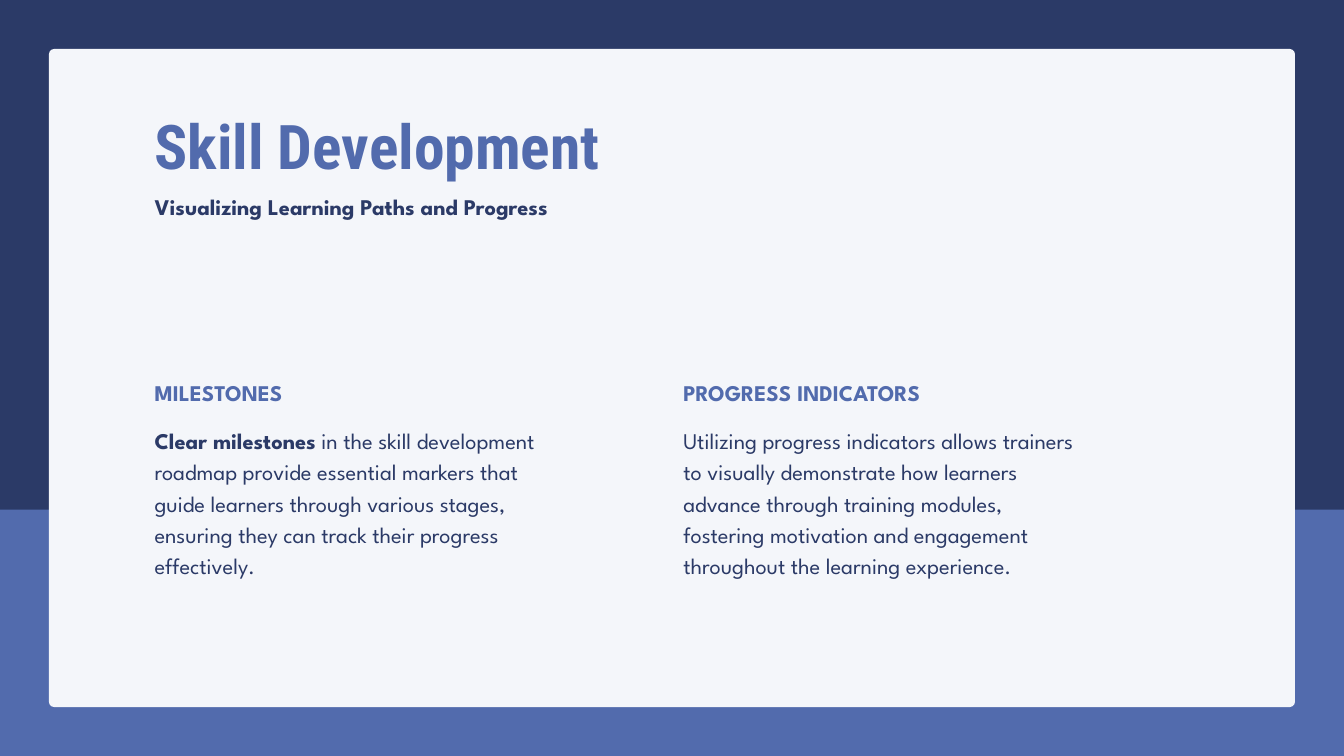
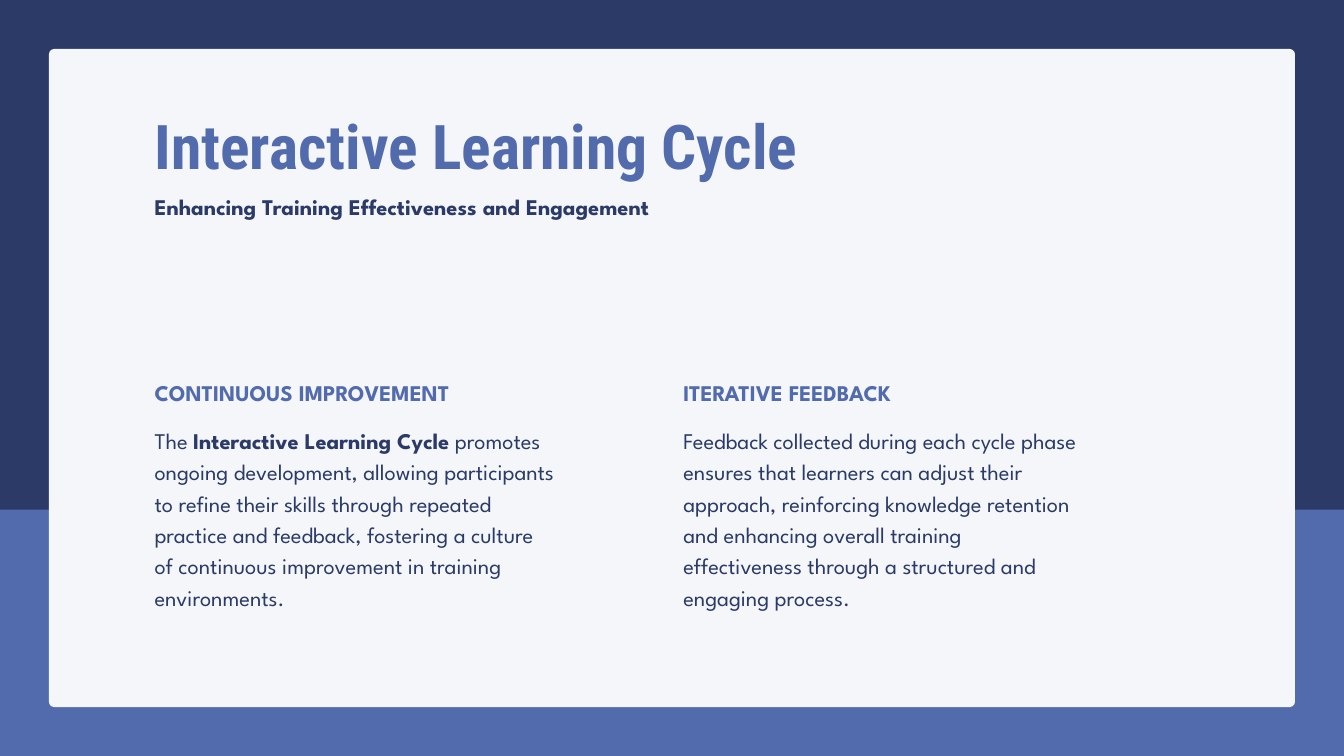
from dataclasses import dataclass

from pptx import Presentation
from pptx.dml.color import RGBColor
from pptx.enum.shapes import MSO_SHAPE
from pptx.enum.text import MSO_AUTO_SIZE
from pptx.util import Pt


@dataclass(frozen=True)
class Theme:
    navy: RGBColor = RGBColor.from_string("2B3A67")
    blue: RGBColor = RGBColor.from_string("526BAD")
    paper: RGBColor = RGBColor.from_string("F4F6FA")
    title_font: str = "Roboto Condensed"
    text_font: str = "League Spartan"
    title_size: float = 66
    text_size: float = 24
    title_leading: float = 79.2
    text_leading: float = 33.6


WIDTH, HEIGHT = 1440, 810
BAND_TOP = 546
CARD_MARGIN = 52.5
CARD_RADIUS = 5.5
LEFT = 165.6
HEADER_WIDTH = 995
COLUMN_WIDTH = 429
COLUMN_STEP = 566.6
TITLE_TOP, SUBTITLE_TOP = 115.2, 202.3
HEADING_TOP, BODY_TOP = 401.8, 452.9
LINE_HEIGHT = 32

PAGES = [
    (
        "Skill Development",
        "Visualizing Learning Paths and Progress",
        [
            ("MILESTONES", 163.4, [
                ("Clear milestones", True),
                (" in the skill development roadmap provide essential markers that guide "
                 "learners through various stages, ensuring they can track their progress "
                 "effectively.", False),
            ]),
            ("PROGRESS INDICATORS", 196.6, [
                ("Utilizing progress indicators allows trainers to visually demonstrate how "
                 "learners advance through training modules, fostering motivation and "
                 "engagement throughout the learning experience.", False),
            ]),
        ],
    ),
    (
        "Interactive Learning Cycle",
        "Enhancing Training Effectiveness and Engagement",
        [
            ("CONTINUOUS IMPROVEMENT", 229.7, [
                ("The ", False),
                ("Interactive Learning Cycle", True),
                (" promotes ongoing development, allowing participants to refine their "
                 "skills through repeated practice and feedback, fostering a culture of "
                 "continuous improvement in training environments.", False),
            ]),
            ("ITERATIVE FEEDBACK", 196.6, [
                ("Feedback collected during each cycle phase ensures that learners can "
                 "adjust their approach, reinforcing knowledge retention and enhancing "
                 "overall training effectiveness through a structured and engaging "
                 "process.", False),
            ]),
        ],
    ),
]


class Builder:
    def __init__(self, theme):
        self.theme = theme
        self.deck = Presentation()
        self.deck.slide_width, self.deck.slide_height = Pt(WIDTH), Pt(HEIGHT)
        self.page = None

    def add_page(self):
        self.page = self.deck.slides.add_slide(self.deck.slide_layouts[6])
        background = self.page.background.fill
        background.solid()
        background.fore_color.rgb = self.theme.navy
        self.panel(MSO_SHAPE.RECTANGLE, 0, BAND_TOP, WIDTH, HEIGHT - BAND_TOP, self.theme.blue)
        card_height = HEIGHT - 2 * CARD_MARGIN
        card = self.panel(MSO_SHAPE.ROUNDED_RECTANGLE, CARD_MARGIN, CARD_MARGIN,
                          WIDTH - 2 * CARD_MARGIN, card_height, self.theme.paper)
        card.adjustments[0] = CARD_RADIUS / card_height

    def panel(self, kind, left, top, width, height, color):
        shape = self.page.shapes.add_shape(kind, Pt(left), Pt(top), Pt(width), Pt(height))
        shape.shadow.inherit = False
        shape.fill.solid()
        shape.fill.fore_color.rgb = color
        shape.line.fill.background()
        return shape

    def text(self, left, top, width, height, spans, color, font=None, size=None, leading=None):
        box = self.page.shapes.add_textbox(Pt(left), Pt(top), Pt(width), Pt(height))
        frame = box.text_frame
        frame.word_wrap = True
        frame.auto_size = MSO_AUTO_SIZE.SHAPE_TO_FIT_TEXT
        frame.margin_left = frame.margin_right = frame.margin_top = frame.margin_bottom = 0
        para = frame.paragraphs[0]
        para.line_spacing = Pt(leading or self.theme.text_leading)
        para.font.name = font or self.theme.text_font
        para.font.size = Pt(size or self.theme.text_size)
        para.font.color.rgb = color
        for words, bold in spans:
            span = para.add_run()
            span.text = words
            span.font.bold = bold

    def header(self, title, subtitle):
        theme = self.theme
        self.text(LEFT, TITLE_TOP, HEADER_WIDTH, 86.4, [(title, True)], theme.blue,
                  theme.title_font, theme.title_size, theme.title_leading)
        self.text(LEFT, SUBTITLE_TOP, HEADER_WIDTH, LINE_HEIGHT, [(subtitle, True)], theme.navy)

    def column(self, index, heading, height, body):
        left = LEFT + index * COLUMN_STEP
        self.text(left, BODY_TOP, COLUMN_WIDTH, height, body, self.theme.navy)
        self.text(left, HEADING_TOP, COLUMN_WIDTH, LINE_HEIGHT, [(heading, True)],
                  self.theme.blue)


def main():
    builder = Builder(Theme())
    for title, subtitle, columns in PAGES:
        builder.add_page()
        builder.header(title, subtitle)
        for index, column in enumerate(columns):
            builder.column(index, *column)
    builder.deck.save("out.pptx")


if __name__ == "__main__":
    main()
